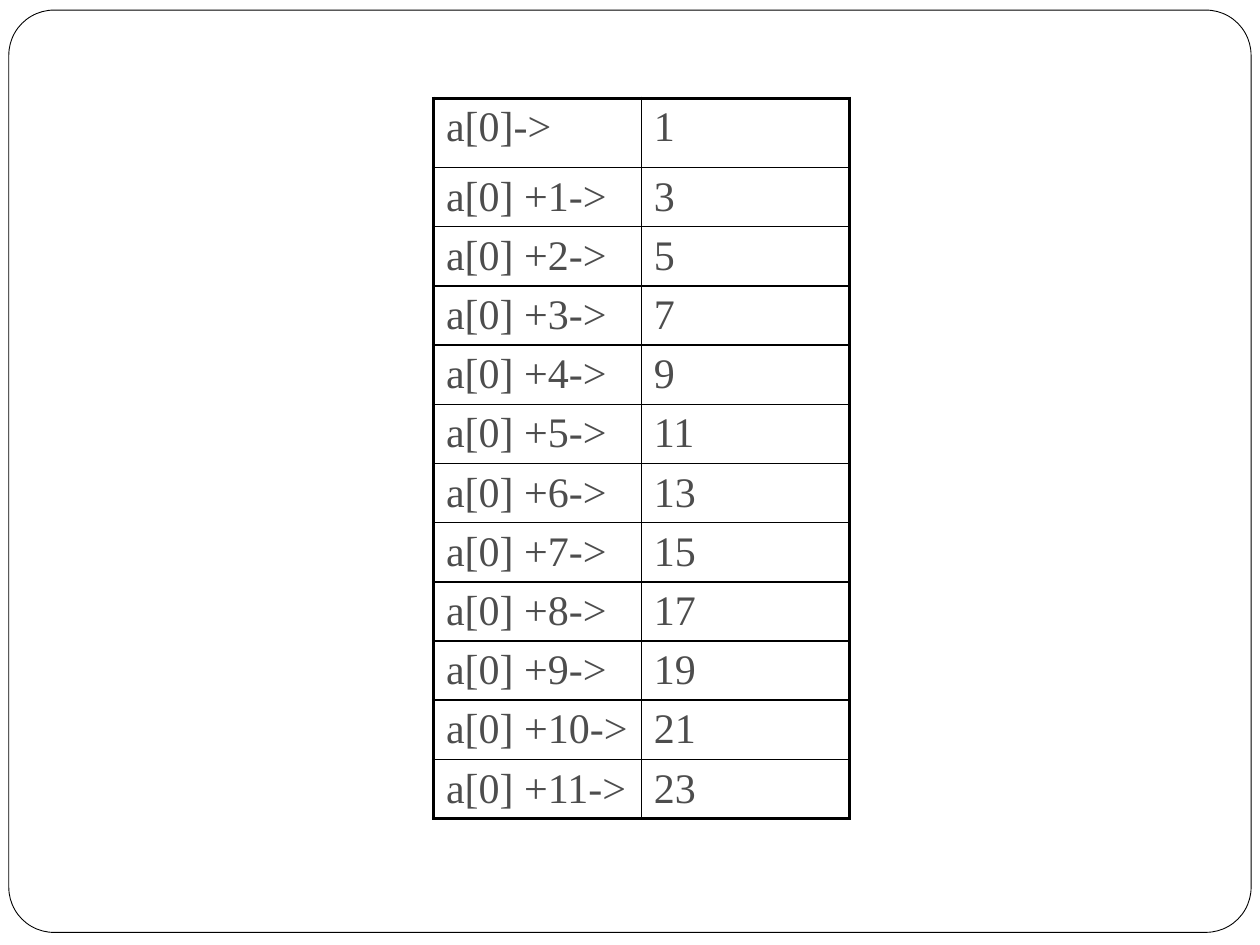
from pptx import Presentation
from pptx.dml.color import RGBColor
from pptx.enum.shapes import MSO_SHAPE
from pptx.oxml import parse_xml
from pptx.oxml.ns import nsdecls
from pptx.util import Inches, Pt

ROUNDED = MSO_SHAPE.ROUNDED_RECTANGLE
BLACK, WHITE, GREY = "000000", "FFFFFF", "4D4D4D"
FONT = "Times New Roman"
THIN, THICK = 1, 2.25
COUNT = 12
COL_W, FIRST_ROW_H, ROW_H = 1.65, 0.55, 0.47


def rgb(value):
    return RGBColor.from_string(value)


def add_frame(s):
    """Rounded frame around the slide."""
    sp = s.shapes.add_shape(ROUNDED, Inches(0.07), Inches(0.08),
                            Inches(9.86), Inches(7.32))
    sp.adjustments[0] = 0.049
    sp.shadow.inherit = False
    sp.fill.solid()
    sp.fill.fore_color.rgb = rgb(WHITE)
    sp.line.color.rgb = rgb(BLACK)
    sp.line.width = Pt(0.5)


def set_borders(cell, widths):
    """Draw black borders, given as (side, points) in L, R, T, B order."""
    tcPr = cell._tc.get_or_add_tcPr()
    for i, (side, width) in enumerate(widths):
        tcPr.insert(i, parse_xml(
            f'<a:ln{side} {nsdecls("a")} w="{int(Pt(width))}">'
            f'<a:solidFill><a:srgbClr val="{BLACK}"/></a:solidFill>'
            f'</a:ln{side}>'))


def fill_cell(cell, text):
    cell.fill.background()
    cell.margin_left = cell.margin_right = Inches(0.1)
    cell.margin_top, cell.margin_bottom = Inches(0.05), Inches(0.03)
    p = cell.text_frame.paragraphs[0]
    p.text = text
    font = p.runs[0].font
    font.name, font.size = FONT, Pt(24)
    font.color.rgb = rgb(GREY)


def add_pointer_table(s, rows):
    """Pointer expressions beside the values they point to."""
    height = FIRST_ROW_H + ROW_H * (len(rows) - 1)
    table = s.shapes.add_table(len(rows), 2, Inches(3.44), Inches(0.78),
                               Inches(2 * COL_W), Inches(height)).table
    table.first_row = table.horz_banding = False
    for col in table.columns:
        col.width = Inches(COL_W)
    last = len(rows) - 1
    for i, row in enumerate(rows):
        table.rows[i].height = Inches(ROW_H if i else FIRST_ROW_H)
        for j, text in enumerate(row):
            cell = table.cell(i, j)
            fill_cell(cell, text)
            # Outer edges are thick, inner ones thin
            outer = {"L": j == 0, "R": j == 1, "T": i == 0, "B": i == last}
            set_borders(cell, [(side, THICK if edge else THIN)
                               for side, edge in outer.items()])


def main():
    prs = Presentation()
    prs.slide_width, prs.slide_height = Inches(10), Inches(7.5)
    s = prs.slides.add_slide(prs.slide_layouts[6])
    add_frame(s)
    # Odd numbers, one per offset from a[0]
    rows = [(f"a[0] +{n}->" if n else "a[0]->", str(2 * n + 1))
            for n in range(COUNT)]
    add_pointer_table(s, rows)
    prs.save("out.pptx")


if __name__ == "__main__":
    main()
